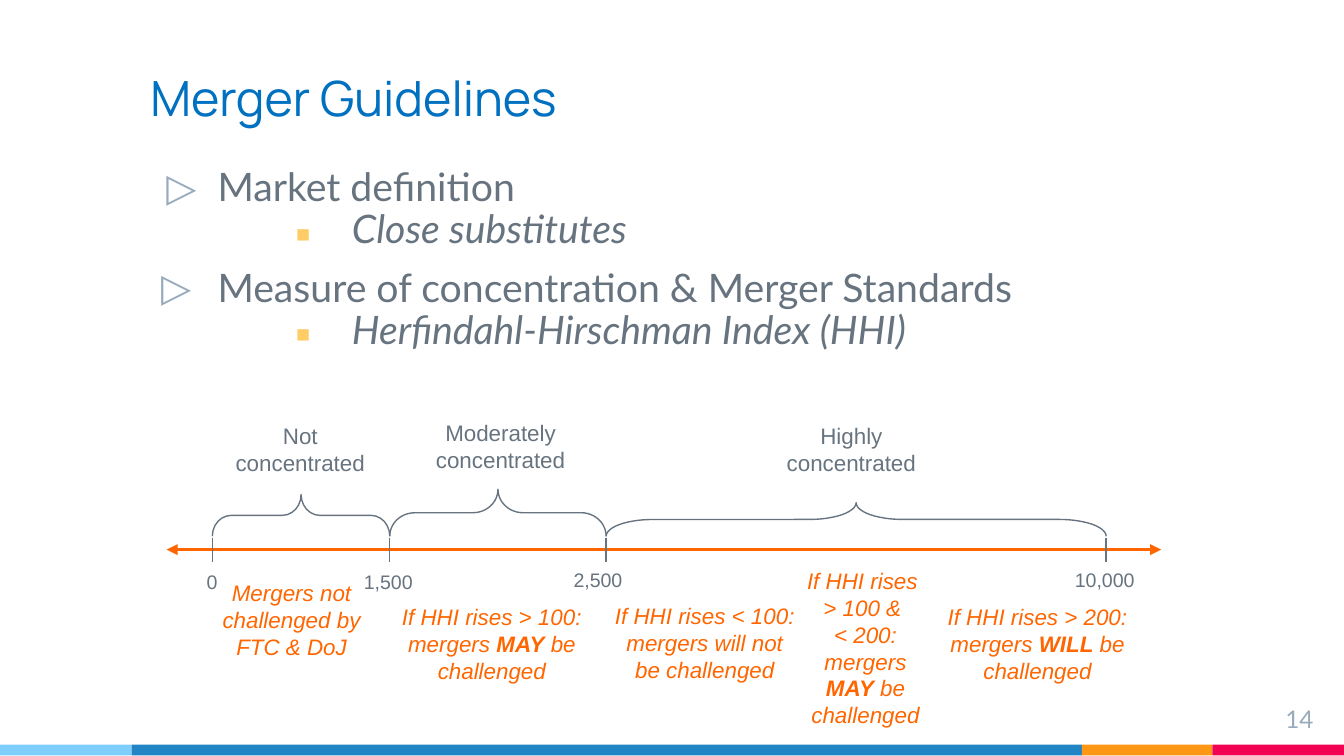
from pptx import Presentation
from pptx.dml.color import RGBColor
from pptx.enum.shapes import MSO_CONNECTOR as CONN, MSO_SHAPE as SHAPE
from pptx.enum.text import MSO_ANCHOR as ANCHOR, PP_ALIGN as ALIGN
from pptx.oxml.ns import qn
from pptx.util import Inches, Pt
from lxml.etree import SubElement

COLORS = {"title": "0070C0", "text": "677480", "orange": "FF6600",
          "pale": "97ABBC", "bullet": "FFCC66"}

# Content: footer bands as (left, width, fill)
BANDS = [(0, 0.98, "7ECEFD"), (0.98, 7.07, "2185C5"),
         (8.05, 0.97, "FF9715"), (9.02, 0.98, "F20253")]

# Bulleted text as (level, text)
BODY = [(0, "Market definition"),
        (1, "Close substitutes"),
        (0, "Measure of concentration & Merger Standards"),
        (1, "Herfindahl-Hirschman Index (HHI)")]
FIRST_HANG, HANG = 0.38, 0.42
LEVELS = [{"margin": 0.5, "char": "▷", "color": "pale", "font": "Lato"},
          {"margin": 1.5, "char": "▪", "color": "bullet", "font": "Noto Sans Symbols"}]

# HHI scale: ticks as (x, label, label left, label top, label width)
AXIS_Y, AXIS_ENDS = 4.09, (1.24, 8.64)
TICKS = [(1.58, "0", 1.44, 4.19, 0.97), (2.9, "1,500", 2.61, 4.19, 0.97),
         (4.51, "2,500", 4.17, 4.18, 0.97), (8.23, "10,000", 7.9, 4.18, 0.77)]

# One zone between each pair of ticks: (label, box, brace depth, brace curve)
BRACE_BOTTOM = 3.99
ZONES = [("Not concentrated", (1.55, 3.09, 1.37, 0.5), 0.31, 0.45),
         ("Moderately concentrated", (3, 3.07, 1.45, 0.5), 0.35, 0.53),
         ("Highly concentrated", (5.61, 3.09, 1.45, 0.5), 0.25, 1.39)]

# Outcomes as (box, lines of text, bold word, rest)
OUTCOMES = [
    ((1.55, 4.26, 1.24, 0.71), ["Mergers not challenged by FTC & DoJ"], "", ""),
    ((2.87, 4.44, 1.58, 0.71), ["If HHI rises > 100: mergers "], "MAY", " be challenged"),
    ((4.46, 4.43, 1.57, 0.71), ["If HHI rises < 100: mergers will not be challenged"], "", ""),
    ((6.91, 4.44, 1.62, 0.71), ["If HHI rises > 200: mergers "], "WILL", " be challenged"),
    ((5.85, 4.17, 1.18, 1.31), ["If HHI rises ", "> 100 & ", "< 200: mergers "],
     "MAY", " be challenged")]

# A 16:9 slide
prs = Presentation()
prs.slide_width, prs.slide_height = Inches(10), Inches(10 * 9 / 16)
s = prs.slides.add_slide(prs.slide_layouts[6])


def rgb(name):
    return RGBColor.from_string(COLORS.get(name, name))


def add_run(p, text, color, **font):
    r = p.add_run()
    r.text = text
    r.font.color.rgb = rgb(color)
    for key, value in font.items():
        setattr(r.font, key, value)


def add_box(box, inset=None, **frame):
    tf = s.shapes.add_textbox(*map(Inches, box)).text_frame
    tf.word_wrap = True
    if inset is not None:
        for side in ("left", "top", "right", "bottom"):
            setattr(tf, "margin_" + side, Inches(inset))
    for key, value in frame.items():
        setattr(tf, key, value)
    return tf


def add_line(x1, y1, x2, y2, color, width):
    c = s.shapes.add_connector(CONN.STRAIGHT, *map(Inches, (x1, y1, x2, y2)))
    c.line.color.rgb, c.line.width = rgb(color), Pt(width)
    SubElement(c._element.spPr, qn("a:effectLst"))
    return c


def set_bullet(p, level, hang):
    pPr = p._p.get_or_add_pPr()
    pPr.set("marL", str(Inches(level["margin"])))
    pPr.set("indent", str(-Inches(hang)))
    color = SubElement(pPr, qn("a:buClr"))
    SubElement(color, qn("a:srgbClr")).set("val", COLORS[level["color"]])
    SubElement(pPr, qn("a:buFont")).set("typeface", level["font"])
    SubElement(pPr, qn("a:buChar")).set("char", level["char"])


# Footer bands
for left, width, fill in BANDS:
    sp = s.shapes.add_shape(SHAPE.RECTANGLE, *map(Inches, (left, 5.54, width, 0.08)))
    sp.shadow.inherit = False
    sp.fill.solid()
    sp.fill.fore_color.rgb = rgb(fill)
    sp.line.fill.background()

# Title and slide number
tf = add_box((1.02, 0.42, 8.04, 0.62), 0.1, vertical_anchor=ANCHOR.BOTTOM)
add_run(tf.paragraphs[0], "Merger Guidelines", "title", name="Manrope", size=Pt(26))
p = add_box((9.27, 5.14, 0.6, 0.34), 0.1).paragraphs[0]
p.alignment = ALIGN.RIGHT
add_run(p, "14", "pale", name="Lato", size=Pt(13))

# Bulleted text
tf = add_box((1.02, 1.11, 7.65, 3.83), 0.1)
for i, (level, text) in enumerate(BODY):
    p = tf.add_paragraph() if i else tf.paragraphs[0]
    p.level = level
    if level:
        p.line_spacing = 0.9
    p.space_before = Pt(0 if level else 6)
    set_bullet(p, LEVELS[level], HANG if i else FIRST_HANG)
    add_run(p, text, "text", name="Lato", size=Pt(21), italic=bool(level))

# Axis with an arrowhead at each end
axis = add_line(AXIS_ENDS[0], AXIS_Y, AXIS_ENDS[1], AXIS_Y, "orange", 1.5)
ln = axis.line._get_or_add_ln()
for end in ("a:headEnd", "a:tailEnd"):
    SubElement(ln, qn(end)).set("type", "triangle")

# Ticks and their values
for x, label, left, top, width in TICKS:
    add_line(x, AXIS_Y - 0.09, x, AXIS_Y + 0.09, "text", 0.75)
    p = add_box((left, top, width, 0.4)).paragraphs[0]
    add_run(p, label, "text", name="Arial", size=Pt(10.5))

# Braces from tick to tick: left braces turned a quarter about their centres
for (label, box, depth, curve), start, end in zip(ZONES, TICKS, TICKS[1:]):
    span, cx = end[0] - start[0], (start[0] + end[0]) / 2
    cy = BRACE_BOTTOM - depth / 2
    sp = s.shapes.add_shape(SHAPE.LEFT_BRACE, *map(
        Inches, (cx - depth / 2, cy - span / 2, depth, span)))
    sp.rotation = 90
    sp.adjustments[0], sp.adjustments[1] = curve, 0.5
    sp.shadow.inherit = False
    sp.fill.background()
    sp.line.color.rgb, sp.line.width = rgb("text"), Pt(0.75)
    p = add_box(box).paragraphs[0]
    p.alignment = ALIGN.CENTER
    add_run(p, label, "text", name="Arial", size=Pt(12))

# Outcomes under the axis
for box, lines, strong, rest in OUTCOMES:
    p = add_box(box).paragraphs[0]
    p.alignment = ALIGN.CENTER
    font = {"name": "Arial", "size": Pt(12), "italic": True}
    for i, line in enumerate(lines):
        if i:
            p.add_line_break()
        add_run(p, line, "orange", **font)
    if strong:
        add_run(p, strong, "orange", bold=True, **font)
        add_run(p, rest, "orange", **font)

prs.save("out.pptx")
